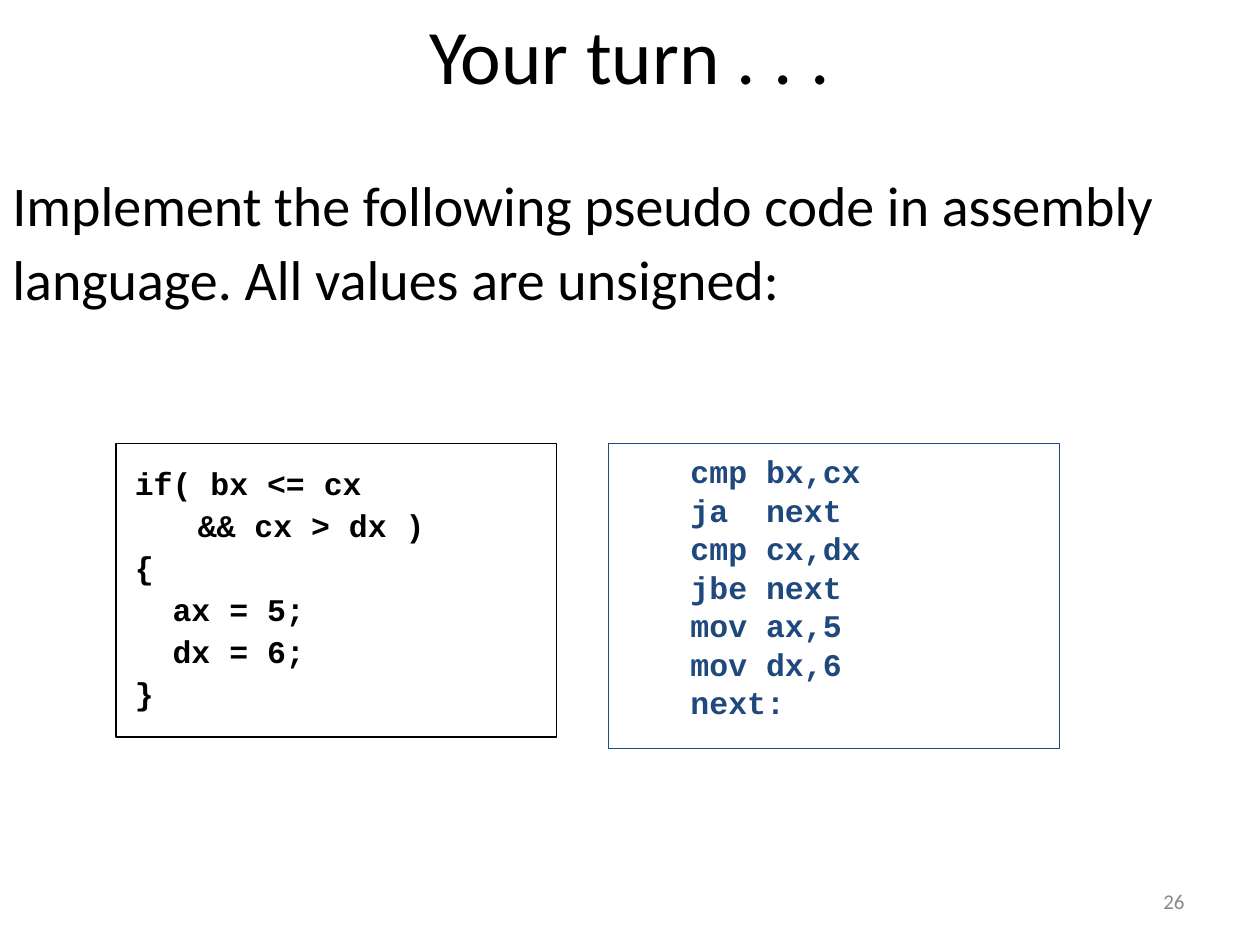
from pptx import Presentation
from pptx.dml.color import RGBColor
from pptx.enum.shapes import MSO_SHAPE
from pptx.enum.text import MSO_ANCHOR, PP_ALIGN
from pptx.util import Inches, Pt

RECTANGLE = MSO_SHAPE.RECTANGLE
TOP, MIDDLE = MSO_ANCHOR.TOP, MSO_ANCHOR.MIDDLE
LEFT, CENTER, RIGHT = PP_ALIGN.LEFT, PP_ALIGN.CENTER, PP_ALIGN.RIGHT

BLACK = RGBColor(0x00, 0x00, 0x00)
NAVY = RGBColor(0x1F, 0x49, 0x7D)
GRAY = RGBColor(0x89, 0x89, 0x89)


def write_lines(shape, lines, *, size, color=BLACK, font="Calibri", bold=False,
                align=LEFT, anchor=TOP, margins=(0.1, 0.05), spacing=1.0, before=0):
    """Fill a shape with (text, left indent in inches) pairs, one paragraph each."""
    frame = shape.text_frame
    frame.word_wrap = True
    frame.vertical_anchor = anchor
    frame.margin_left = frame.margin_right = Inches(margins[0])
    frame.margin_top = frame.margin_bottom = Inches(margins[1])
    for index, (text, indent) in enumerate(lines):
        paragraph = frame.add_paragraph() if index else frame.paragraphs[0]
        paragraph.alignment = align
        paragraph.line_spacing = spacing
        paragraph.space_before = Pt(before)
        properties = paragraph._p.get_or_add_pPr()
        properties.set("marL", str(Inches(indent)))
        properties.set("indent", "0")
        run = paragraph.add_run()
        run.text = text
        run.font.name = font
        run.font.size = Pt(size)
        run.font.bold = bold
        run.font.color.rgb = color


presentation = Presentation()
presentation.slide_width = Inches(10)
presentation.slide_height = Inches(7.5)
slide = presentation.slides.add_slide(presentation.slide_layouts[6])

title = slide.shapes.add_textbox(Inches(0.5), Inches(0), Inches(9), Inches(0.86))
write_lines(title, [("Your turn . . .", 0)], size=44, align=CENTER, anchor=MIDDLE)

task = slide.shapes.add_textbox(Inches(0), Inches(1.25), Inches(10), Inches(1.33))
write_lines(task, [("Implement the following pseudo code in assembly language. "
                    "All values are unsigned:", 0)], size=32, spacing=1.1, before=8)

assembly = ["cmp bx,cx", "ja  next", "cmp cx,dx", "jbe next",
            "mov ax,5", "mov dx,6", "next:"]
assembly_lines = [(text, 0.5) for text in assembly]
pseudo_code_lines = [("if( bx <= cx", 0), ("&& cx > dx )", 0.5), ("{", 0),
                     ("ax = 5;", 0.3), ("dx = 6;", 0.3), ("}", 0)]

# left, width, height, colour, line spacing, space before, lines
code_boxes = [
    (4.83, 3.58, 2.42, NAVY, 0.5, 11.2, assembly_lines),
    (0.92, 3.5, 2.33, BLACK, 0.9, 4.5, pseudo_code_lines),
]
for left, width, height, color, spacing, before, lines in code_boxes:
    box = slide.shapes.add_shape(RECTANGLE, Inches(left), Inches(3.52),
                                 Inches(width), Inches(height))
    box.shadow.inherit = False
    box.fill.background()
    box.line.color.rgb = color
    box.line.width = Pt(0.75)
    write_lines(box, lines, size=18, color=color, font="Courier New", bold=True,
                margins=(0.15, 0.2), spacing=spacing, before=before)

page_number = slide.shapes.add_textbox(Inches(7.17), Inches(6.95),
                                       Inches(2.33), Inches(0.4))
write_lines(page_number, [("26", 0)], size=12, color=GRAY, align=RIGHT, anchor=MIDDLE)

presentation.save("out.pptx")
